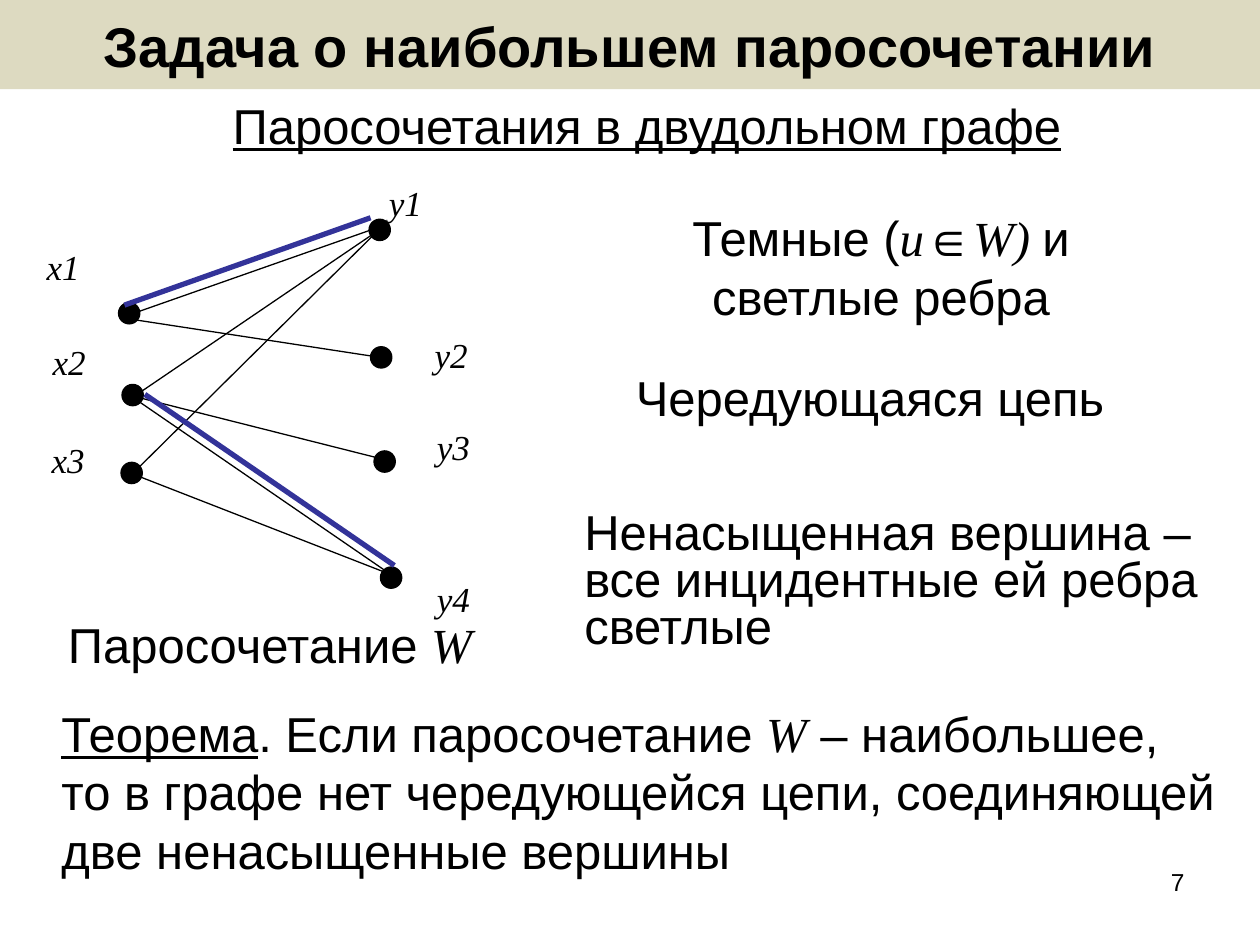
from typing import NamedTuple

from lxml import etree
from pptx import Presentation
from pptx.dml.color import RGBColor
from pptx.enum.shapes import MSO_CONNECTOR, MSO_SHAPE
from pptx.enum.text import MSO_ANCHOR, MSO_AUTO_SIZE, PP_ALIGN
from pptx.oxml.ns import qn
from pptx.util import Cm, Pt

LEFT, CENTER, RIGHT = PP_ALIGN.LEFT, PP_ALIGN.CENTER, PP_ALIGN.RIGHT
STRAIGHT = MSO_CONNECTOR.STRAIGHT
OVAL = MSO_SHAPE.OVAL
MIDDLE = MSO_ANCHOR.MIDDLE
NO_AUTOFIT = MSO_AUTO_SIZE.NONE

BLACK = RGBColor(0x00, 0x00, 0x00)
MATCHING_BLUE = RGBColor(0x33, 0x33, 0x99)
TITLE_BEIGE = RGBColor(0xDD, 0xDA, 0xC1)

SANS, SERIF = "Arial", "Times New Roman"
VERTEX_SIZE = 0.43
LABEL_WIDTH, LABEL_HEIGHT = 1.7, 1.12


class Run(NamedTuple):
    text: str
    size: float = 28
    font: str = SANS
    bold: bool = False
    italic: bool = False
    underline: bool = False


class TextBlock(NamedTuple):
    left: float
    top: float
    width: float
    height: float
    runs: list[Run]
    align: PP_ALIGN = LEFT
    line_spacing: float = 1.0


class Vertex(NamedTuple):
    name: str
    left: float
    top: float
    label_left: float
    label_top: float


class Edge(NamedTuple):
    x1: float
    y1: float
    x2: float
    y2: float


def variable(text: str, size: float = 28) -> Run:
    """Mathematical symbol in serif italics."""
    return Run(text, size, SERIF, italic=True)


VERTICES = [
    Vertex("x1", 2.39, 6.1, 0.69, 4.83),
    Vertex("x2", 2.46, 7.75, 0.81, 6.73),
    Vertex("x3", 2.44, 9.32, 0.79, 8.71),
    Vertex("y1", 7.44, 4.42, 7.59, 3.53),
    Vertex("y2", 7.47, 6.99, 8.51, 6.6),
    Vertex("y3", 7.54, 9.09, 8.56, 8.46),
    Vertex("y4", 7.67, 11.43, 8.56, 11.51),
]

LIGHT_EDGES = [
    Edge(2.74, 6.3, 7.72, 4.55),
    Edge(2.74, 6.45, 7.57, 7.19),
    Edge(2.69, 8, 7.62, 4.65),
    Edge(2.74, 8, 7.77, 9.27),
    Edge(2.59, 7.95, 7.95, 11.63),
    Edge(2.69, 9.53, 7.67, 4.6),
    Edge(2.74, 9.58, 8, 11.63),
]

MATCHING_EDGES = [
    Edge(2.51, 6.15, 7.47, 4.39),
    Edge(2.92, 7.95, 7.95, 11.4),
]

TEXT_BLOCKS = [
    TextBlock(2.54, 1.8, 21, 1.45,
              [Run("Паросочетания в двудольном графе", underline=True)], CENTER),
    TextBlock(13.44, 4.06, 8.64, 2.64,
              [Run("Темные ("), variable("u"), Run("∈", italic=True),
               variable("W) "), Run("и светлые ребра")], CENTER),
    TextBlock(12.57, 7.29, 10.95, 1.45, [Run("Чередующаяся цепь")]),
    TextBlock(11.53, 10.21, 13.87, 3.1,
              [Run("Ненасыщенная вершина – все инцидентные ей ребра светлые")],
              line_spacing=0.8),
    TextBlock(1.12, 12.27, 9.04, 1.45, [Run("Паросочетание "), variable("W")]),
    TextBlock(0.99, 14.05, 23.77, 3.81,
              [Run("Теорема", underline=True), Run(". Если паросочетание "),
               variable("W"),
               Run(" – наибольшее, то в графе нет чередующейся цепи, "
                   "соединяющей две ненасыщенные вершины")]),
    TextBlock(18.21, 17.35, 5.92, 1.32, [Run("7", 14)], RIGHT),
]


def fill_paragraph(paragraph, runs: list[Run], align: PP_ALIGN) -> None:
    paragraph.alignment = align
    for item in runs:
        run = paragraph.add_run()
        run.text = item.text
        font = run.font
        font.name, font.size = item.font, Pt(item.size)
        font.bold, font.italic = item.bold, item.italic
        font.underline = item.underline
        font.color.rgb = BLACK


def add_text(slide, block: TextBlock) -> None:
    box = slide.shapes.add_textbox(Cm(block.left), Cm(block.top),
                                   Cm(block.width), Cm(block.height))
    frame = box.text_frame
    frame.word_wrap = True
    paragraph = frame.paragraphs[0]
    paragraph.line_spacing = block.line_spacing
    fill_paragraph(paragraph, block.runs, block.align)


def add_vertex(slide, vertex: Vertex) -> None:
    dot = slide.shapes.add_shape(OVAL, Cm(vertex.left), Cm(vertex.top),
                                 Cm(VERTEX_SIZE), Cm(VERTEX_SIZE))
    dot.shadow.inherit = False
    dot.fill.solid()
    dot.fill.fore_color.rgb = BLACK
    dot.line.color.rgb = BLACK
    dot.line.width = Pt(0.75)
    add_text(slide, TextBlock(vertex.label_left, vertex.label_top, LABEL_WIDTH,
                              LABEL_HEIGHT, [variable(vertex.name, 20)]))


def add_edge(slide, edge: Edge, color: RGBColor, width: float) -> None:
    line = slide.shapes.add_connector(STRAIGHT, Cm(edge.x1), Cm(edge.y1),
                                      Cm(edge.x2), Cm(edge.y2))
    line.line.color.rgb = color
    line.line.width = Pt(width)
    etree.SubElement(line._element.spPr, qn("a:effectLst"))


def add_title(slide, text: str) -> None:
    title = slide.shapes.title
    title.left, title.top = Cm(0), Cm(0)
    title.width, title.height = Cm(25.4), Cm(1.8)
    title.fill.solid()
    title.fill.fore_color.rgb = TITLE_BEIGE
    frame = title.text_frame
    frame.auto_size = NO_AUTOFIT
    frame.vertical_anchor = MIDDLE
    fill_paragraph(frame.paragraphs[0], [Run(text, 32, bold=True)], CENTER)


def main() -> None:
    deck = Presentation()
    deck.slide_width, deck.slide_height = Cm(25.4), Cm(19.05)
    slide = deck.slides.add_slide(deck.slide_layouts[5])

    add_title(slide, "Задача о наибольшем паросочетании")
    for vertex in VERTICES:
        add_vertex(slide, vertex)
    for edge in LIGHT_EDGES:
        add_edge(slide, edge, BLACK, 0.75)
    for edge in MATCHING_EDGES:
        add_edge(slide, edge, MATCHING_BLUE, 3)
    for block in TEXT_BLOCKS:
        add_text(slide, block)

    deck.save("out.pptx")


if __name__ == "__main__":
    main()
